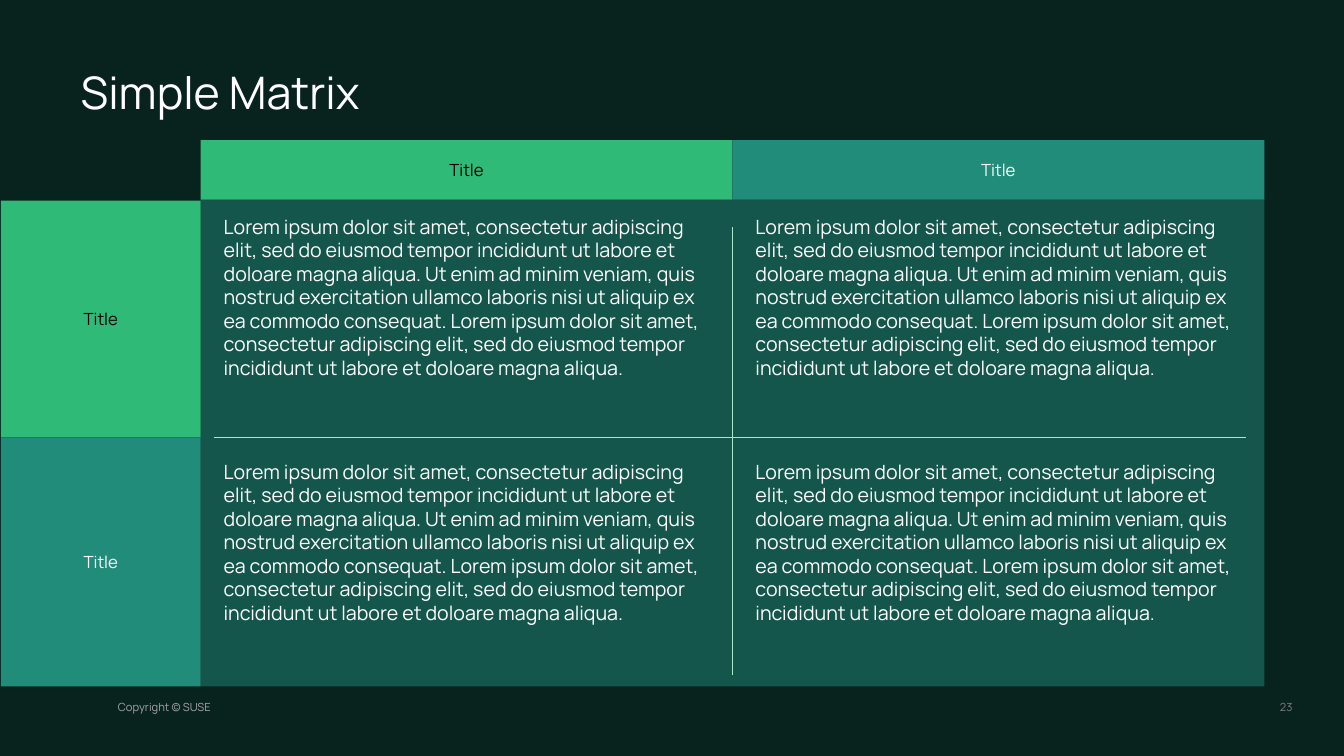
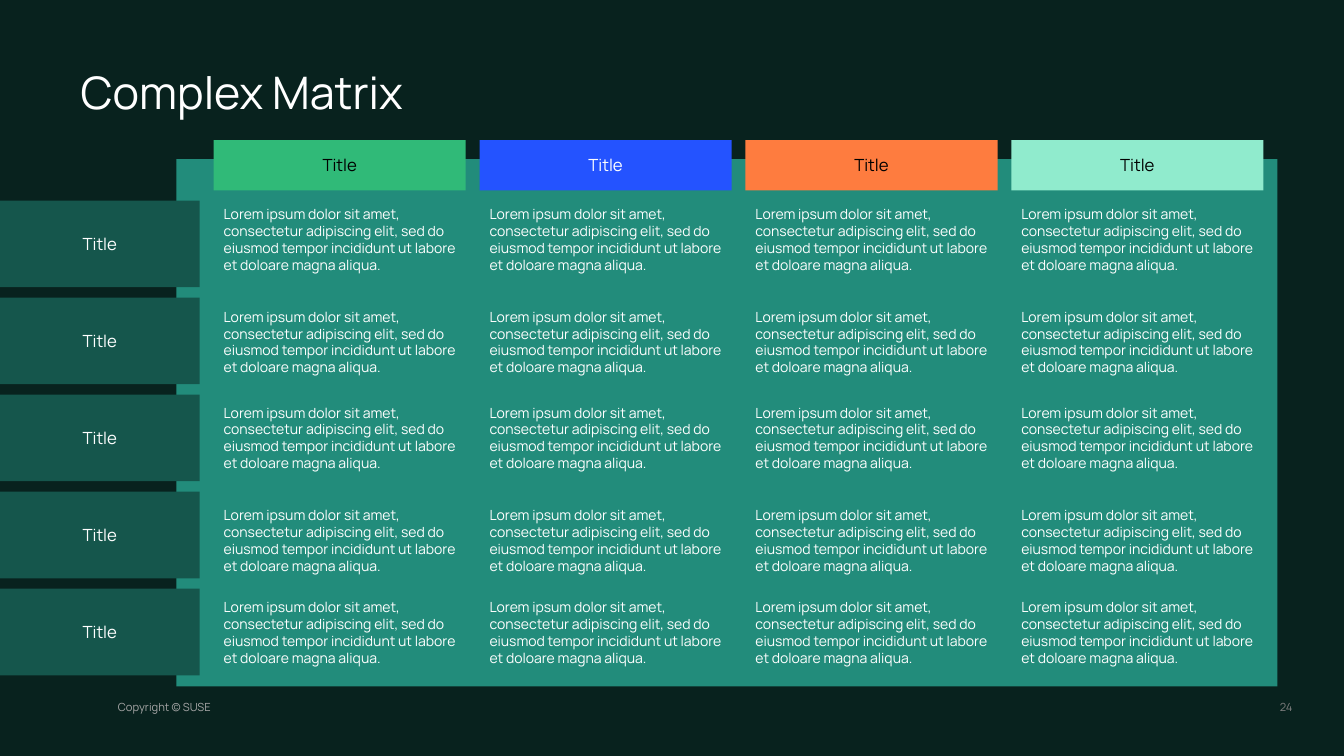
from dataclasses import dataclass

from lxml import etree
from pptx import Presentation
from pptx.dml.color import RGBColor
from pptx.enum.shapes import MSO_CONNECTOR, MSO_SHAPE
from pptx.enum.text import MSO_ANCHOR, PP_ALIGN
from pptx.oxml.ns import qn
from pptx.presentation import Presentation as Deck
from pptx.slide import Slide, SlideLayout
from pptx.text.text import TextFrame
from pptx.util import Inches, Pt

RECTANGLE = MSO_SHAPE.RECTANGLE
STRAIGHT = MSO_CONNECTOR.STRAIGHT
TOP, MIDDLE = MSO_ANCHOR.TOP, MSO_ANCHOR.MIDDLE
LEFT, CENTER, RIGHT = PP_ALIGN.LEFT, PP_ALIGN.CENTER, PP_ALIGN.RIGHT

FONT = "Manrope"
NIGHT, PINE, TEAL, JUNGLE = "08221E", "15564C", "228C7B", "30BA78"
MINT, RULE_GREEN, BLUE, ORANGE = "90EBCD", "A7E8C9", "2453FF", "FE7C3F"
WHITE, BLACK, FOOTER_GREY, NUMBER_GREY = "FFFFFF", "000000", "A6A6A6", "808080"

SHORT_TEXT = (
    "Lorem ipsum dolor sit amet, consectetur adipiscing elit, sed do eiusmod "
    "tempor incididunt ut labore et doloare magna aliqua."
)
LONG_TEXT = (
    f"{SHORT_TEXT} Ut enim ad minim veniam, quis nostrud exercitation ullamco "
    f"laboris nisi ut aliquip ex ea commodo consequat. {SHORT_TEXT}"
)

HEADER_TOP = 1.39
ROWS_TOP = 1.99
MATRIX_BOTTOM = 6.81
CELL_LEFT = 2.12


@dataclass(frozen=True)
class Box:
    left: float
    top: float
    width: float
    height: float

    def emu(self) -> tuple[int, int, int, int]:
        return (Inches(self.left), Inches(self.top),
                Inches(self.width), Inches(self.height))


@dataclass(frozen=True)
class TextStyle:
    size: float
    color: str = WHITE
    align: PP_ALIGN = LEFT
    anchor: MSO_ANCHOR = TOP
    padded: bool = True


@dataclass(frozen=True)
class Heading:
    fill: str
    color: str


@dataclass(frozen=True)
class Track:
    """Equal bands along one axis of a matrix."""
    start: float
    size: float
    gap: float = 0

    def at(self, index: int) -> float:
        return self.start + index * (self.size + self.gap)


TITLE_BOX = Box(0.8, 0.69, 11.73, 0.5)
TITLE_STYLE = TextStyle(32, anchor=MIDDLE, padded=False)
BLACK_ON_JUNGLE = Heading(JUNGLE, BLACK)
WHITE_ON_TEAL = Heading(TEAL, WHITE)


def rgb(color: str) -> RGBColor:
    return RGBColor.from_string(color)


def write(frame: TextFrame, text: str, style: TextStyle) -> None:
    frame.word_wrap = True
    frame.vertical_anchor = style.anchor
    if not style.padded:
        frame.margin_left = frame.margin_right = 0
        frame.margin_top = frame.margin_bottom = 0
    paragraph = frame.paragraphs[0]
    paragraph.text = text
    paragraph.alignment = style.align
    paragraph.font.name = FONT
    paragraph.font.size = Pt(style.size)
    paragraph.font.color.rgb = rgb(style.color)


def add_text(slide: Slide, box: Box, text: str, style: TextStyle) -> None:
    write(slide.shapes.add_textbox(*box.emu()).text_frame, text, style)


def add_panel(slide: Slide, box: Box, fill: str) -> TextFrame:
    shape = slide.shapes.add_shape(RECTANGLE, *box.emu())
    shape.shadow.inherit = False
    shape.fill.solid()
    shape.fill.fore_color.rgb = rgb(fill)
    shape.line.fill.background()
    return shape.text_frame


def add_heading(slide: Slide, box: Box, heading: Heading) -> None:
    style = TextStyle(12, heading.color, CENTER, MIDDLE)
    write(add_panel(slide, box, heading.fill), "Title", style)


def add_rule(slide: Slide, x1: float, y1: float, x2: float, y2: float) -> None:
    rule = slide.shapes.add_connector(
        STRAIGHT, Inches(x1), Inches(y1), Inches(x2), Inches(y2))
    rule.line.color.rgb = rgb(RULE_GREEN)
    rule.line.width = Pt(0.5)
    etree.SubElement(rule.element.spPr, qn("a:effectLst"))


def prepare_layout(presentation: Deck) -> SlideLayout:
    """Give the master its background and the layout its title position."""
    background = presentation.slide_master.background.fill
    background.solid()
    background.fore_color.rgb = rgb(NIGHT)
    layout = presentation.slide_layouts.get_by_name("Title Only")
    title = layout.placeholders[0]
    title.left, title.top, title.width, title.height = TITLE_BOX.emu()
    return layout


def add_slide(presentation: Deck, layout: SlideLayout, title: str, number: int) -> Slide:
    slide = presentation.slides.add_slide(layout)
    frame = slide.shapes.title.text_frame
    write(frame, title, TITLE_STYLE)
    frame.paragraphs[0].line_spacing = 0.9
    frame.paragraphs[0].space_after = Pt(10)
    add_text(slide, Box(1.17, 6.95, 1.35, 0.13), "Copyright © SUSE",
             TextStyle(8, FOOTER_GREY, padded=False))
    add_text(slide, Box(12.5, 6.95, 0.32, 0.13), str(number),
             TextStyle(8, NUMBER_GREY, RIGHT, padded=False))
    return slide


def draw_simple_matrix(slide: Slide) -> None:
    headings = (BLACK_ON_JUNGLE, WHITE_ON_TEAL)
    columns = Track(1.99, 5.275)
    row_edges = (ROWS_TOP, 4.34, MATRIX_BOTTOM)
    body_top = 1.98
    add_panel(slide, Box(columns.start, body_top, 2 * columns.size,
                         MATRIX_BOTTOM - body_top), PINE)
    for index, heading in enumerate(headings):
        add_heading(slide, Box(columns.at(index), HEADER_TOP, columns.size,
                               body_top - HEADER_TOP), heading)
        top, bottom = row_edges[index:index + 2]
        add_heading(slide, Box(0.01, top, 1.98, bottom - top), heading)
    for top in (2.08, 4.51):
        for column in range(len(headings)):
            left = columns.at(column) + CELL_LEFT - columns.start
            add_text(slide, Box(left, top, 4.97, 1.99), LONG_TEXT, TextStyle(14))
    add_rule(slide, columns.at(1), 2.25, columns.at(1), 6.7)
    add_rule(slide, CELL_LEFT, row_edges[1], 12.36, row_edges[1])


def draw_complex_matrix(slide: Slide) -> None:
    headings = (BLACK_ON_JUNGLE, Heading(BLUE, WHITE),
                Heading(ORANGE, BLACK), Heading(MINT, BLACK))
    columns = Track(CELL_LEFT, 2.5, 0.137)
    rows = Track(ROWS_TOP, 0.86, 0.1025)
    text_tops = (1.99, 3.01, 3.96, 4.98, 5.89)
    add_panel(slide, Box(1.75, 1.58, 10.92, MATRIX_BOTTOM - 1.58), TEAL)
    for column, heading in enumerate(headings):
        add_heading(slide, Box(columns.at(column), HEADER_TOP, columns.size, 0.5), heading)
    for row, text_top in enumerate(text_tops):
        add_heading(slide, Box(0, rows.at(row), 1.98, rows.size), Heading(PINE, WHITE))
        for column in range(len(headings)):
            add_text(slide, Box(columns.at(column), text_top, columns.size, 0.77),
                     SHORT_TEXT, TextStyle(10))


def main() -> None:
    presentation = Presentation()
    presentation.slide_width = Inches(13.33)
    presentation.slide_height = Inches(7.5)
    layout = prepare_layout(presentation)
    draw_simple_matrix(add_slide(presentation, layout, "Simple Matrix", 23))
    draw_complex_matrix(add_slide(presentation, layout, "Complex Matrix", 24))
    presentation.save("out.pptx")


if __name__ == "__main__":
    main()
